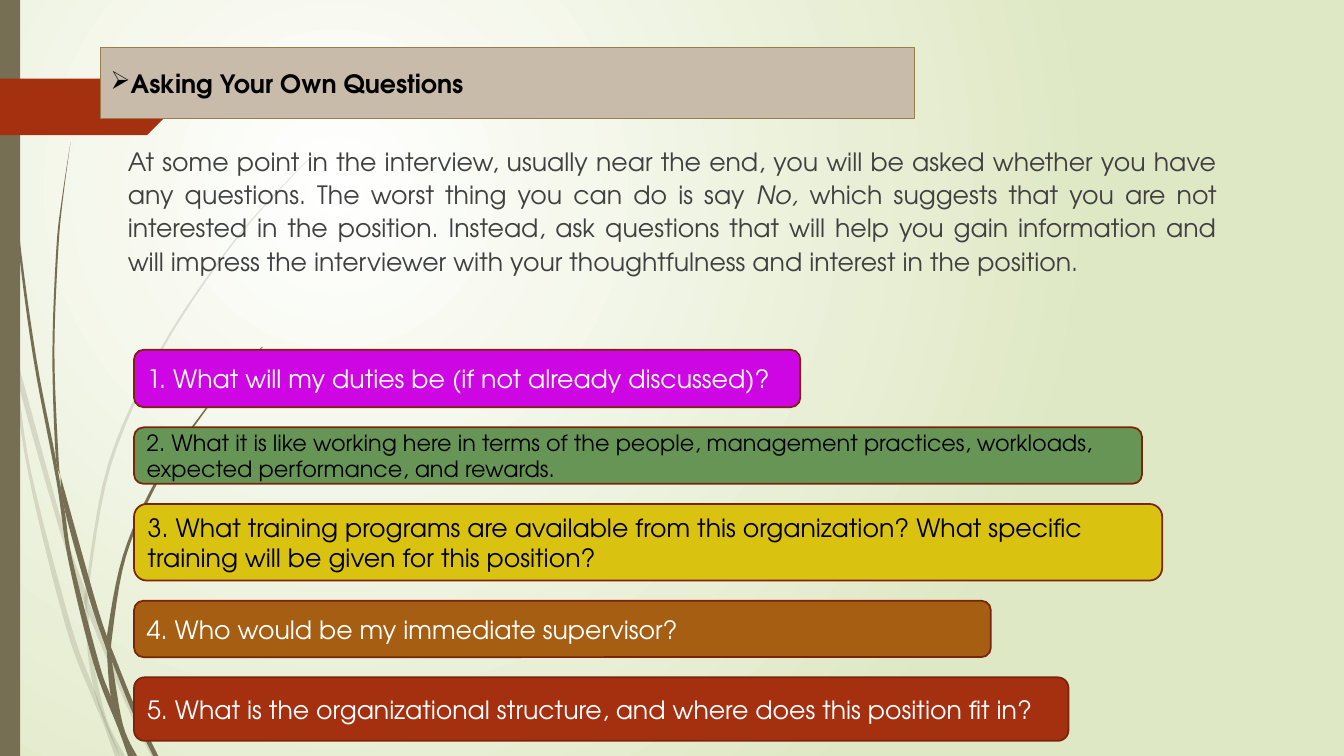
import pptx
import pptx.util
import pptx.dml.color
import pptx.enum.shapes
import pptx.enum.text
import pptx.oxml
import pptx.oxml.ns
from lxml import etree

CELL = pptx.util.Inches(0.1)
COLUMNS, ROWS = 133.33, 75
FONT = "TeX Gyre Adventor"
SHAPES = pptx.enum.shapes.MSO_SHAPE
ANCHORS = pptx.enum.text.MSO_ANCHOR
ALIGNS = pptx.enum.text.PP_ALIGN
COLORS = {
    "white": "FFFFFF", "black": "000000", "body": "404040", "mist": "DFE8C4",
    "stem": "766F54", "red": "A53010", "sand": "C8BBAA", "sand edge": "987D4D",
    "violet": "CF06E4", "green": "679555", "yellow": "DAC210", "brown": "A65E12",
    "edge": "7A240C",
}

FADED_STRANDS = [
    ([(0, 28.2), (0.9, 32.2), (1.1, 35), (2.8, 47), (6.5, 62.1), (9.2, 69.3), (10.1, 71.4), (11.4, 75)],
     [(11.9, 75), (9.3, 68.3), (7, 61.9), (3.1, 46.9), (1.7, 37.6), (1, 34.4), (0, 29.9)]),
    ([(1.4, 34.5), (1.7, 37.6), (5.8, 52.2), (8.4, 59.9), (8.8, 61), (12.3, 69.4), (15, 75)],
     [(15.5, 75), (12.7, 69.2), (9.2, 60.7), (8.5, 58.6), (6.2, 52), (1.4, 34.5)]),
    ([(8.4, 59.9), (8.7, 64.6), (9.3, 68.3), (10.5, 72), (11.9, 75)],
     [(12.4, 75), (10.5, 71.1), (9.1, 64.6), (8.8, 61)]),
    ([(31.2, 15.3), (28.9, 17.5), (22.8, 24.4), (15.8, 34.8), (10.7, 46.1), (8.5, 58.4), (8.4, 59.9)],
     [(8.8, 61), (8.8, 58.4), (11, 46.2), (16, 34.9), (22.9, 24.5), (29, 17.5), (31.2, 15.4)]),
]
STRONG_STRANDS = [
    ([(0.3, 0), (0.4, 4.8), (0.7, 11), (1.7, 23.3), (3.3, 35.5), (5.6, 47.7), (6.8, 55.7), (9.3, 65.9), (11.7, 72.2), (12.7, 75)],
     [(13.3, 75), (11, 69.1), (9.8, 65.7), (7.2, 55.6), (6.4, 50.5), (5.5, 45.3), (3.6, 35.5), (1.9, 23.2), (0.8, 10.9), (0.4, 0)]),
    ([(6, 47.2), (6.4, 50.5), (8.8, 59.2), (10.6, 64.5), (11.1, 65.6), (13.2, 70.8), (15.2, 75)],
     [(15.7, 75), (13.6, 70.6), (11.3, 64.9), (10.6, 63.1), (9.3, 59), (6, 47.2)]),
    ([(7, 14.1), (6.2, 19.3), (5.6, 24.5), (5.2, 34.9), (5.5, 44.9), (6, 47.2)],
     [(6, 47.2), (5.8, 45.3), (5.4, 34.9), (5.8, 24.5), (6.3, 19.3), (7, 14.1)]),
    ([(10.6, 64.5), (11, 69.1), (12.2, 72.5), (13.3, 75)],
     [(13.6, 75), (12.2, 71.9), (11.1, 65.6), (10.6, 63.1)]),
    ([(26, 34.4), (23.1, 37.3), (20.4, 40.5), (15.6, 47.4), (12.2, 55.1), (10.6, 63.1), (10.6, 64.5)],
     [(11.1, 65.6), (11.1, 63.3), (12.5, 55.2), (15.8, 47.6), (20.5, 40.6), (23.1, 37.4), (26.1, 34.4)]),
]
QUESTIONS = [
    ("1. What will my duties be (if not already discussed)?", 66.1, 5.7, "violet", "white", 18),
    ("2. What it is like working here in terms of the people, management practices, "
     "workloads, expected performance, and rewards.", 100, 5.6, "green", "black", 16),
    ("3. What training programs are available from this organization? "
     "What specific training will be given for this position?", 102, 7.6, "yellow", "black", 18),
    ("4. Who would be my immediate supervisor?", 85, 5.6, "brown", "white", 18),
    ("5. What is the organizational structure, and where does this position fit in?",
     92.7, 6.3, "red", "white", 18),
]


def rgb(name):
    return pptx.dml.color.RGBColor.from_string(COLORS[name])


def cells(*lengths):
    return [round(length * CELL) for length in lengths]


def add_text(paragraph, text, size=18, color="black", bold=False, italic=False):
    run = paragraph.add_run()
    run.text = text
    run.font.name = FONT
    run.font.size = pptx.util.Pt(size)
    run.font.color.rgb = rgb(color)
    run.font.bold = bold
    run.font.italic = italic


def paint(shape, fill, line=None, width=1):
    shape.shadow.inherit = False
    shape.fill.solid()
    shape.fill.fore_color.rgb = rgb(fill)
    if line:
        shape.line.color.rgb = rgb(line)
        shape.line.width = pptx.util.Pt(width)
    else:
        shape.line.fill.background()


def add_panel(slide, box, kind, fill, line=None, width=1):
    shape = slide.shapes.add_shape(kind, *cells(*box))
    paint(shape, fill, line, width)
    shape.text_frame.word_wrap = True
    shape.text_frame.vertical_anchor = ANCHORS.MIDDLE
    shape.text_frame.paragraphs[0].alignment = ALIGNS.LEFT
    return shape


def smooth_edge(points, steps=6):
    padded = [points[0], *points, points[-1]]
    curve = []
    for a, b, c, d in zip(padded, padded[1:], padded[2:], padded[3:]):
        for step in range(steps):
            t = step / steps
            curve.append(tuple(
                q + t / 2 * (r - p + t * (2 * p - 5 * q + 4 * r - s + t * (3 * (q - r) + s - p)))
                for p, q, r, s in zip(a, b, c, d)))
    return curve + [points[-1]]


def draw_background(slide):
    fill = slide.background.fill
    fill.gradient()
    for stop, color in zip(fill.gradient_stops, ("white", "mist")):
        stop.color.rgb = rgb(color)
    gradient = slide.background._cSld.find(".//" + pptx.oxml.ns.qn("a:gradFill"))
    gradient.remove(gradient.find(pptx.oxml.ns.qn("a:lin")))
    circle = etree.SubElement(gradient, pptx.oxml.ns.qn("a:path"), path="circle")
    etree.SubElement(circle, pptx.oxml.ns.qn("a:fillToRect"),
                     l="50000", t="50000", r="100000", b="100000")


def draw_strands(slide, box, strands, opacity=100):
    left, top = box[:2]
    for down, up in strands:
        outline = [cells(left + x, top + y) for x, y in smooth_edge(down) + smooth_edge(up)]
        builder = slide.shapes.build_freeform(*outline[0])
        builder.add_line_segments(outline[1:], close=True)
        shape = builder.convert_to_shape()
        paint(shape, "stem")
        if opacity < 100:
            color = shape.fill._xPr.find(".//" + pptx.oxml.ns.qn("a:srgbClr"))
            etree.SubElement(color, pptx.oxml.ns.qn("a:alpha"), val=str(opacity * 1000))


def draw_side_decoration(slide, box):
    left, top, width, height = box
    draw_strands(slide, box, FADED_STRANDS, opacity=20)
    draw_strands(slide, box, STRONG_STRANDS)
    add_panel(slide, (left, top, 2, height), SHAPES.RECTANGLE, "stem")
    add_panel(slide, (left, top + 7.8, 17.4, 5.6), SHAPES.PENTAGON, "red")


def draw_heading(slide, box):
    shape = add_panel(slide, box, SHAPES.RECTANGLE, "sand", "sand edge", 0.75)
    paragraph = shape.text_frame.paragraphs[0]
    bullet = etree.SubElement(paragraph._p.get_or_add_pPr(), pptx.oxml.ns.qn("a:buChar"))
    bullet.set("char", "➢")
    add_text(paragraph, "Asking Your Own Questions", bold=True)


def draw_introduction(slide, box):
    frame = slide.shapes.add_textbox(*cells(*box)).text_frame
    frame.word_wrap = True
    paragraph = frame.paragraphs[0]
    paragraph.alignment = ALIGNS.JUSTIFY
    paragraph.line_spacing = 1.1
    paragraph.space_before = pptx.util.Pt(10)
    add_text(paragraph, "At some point in the interview, usually near the end, you will be asked "
             "whether you have any questions. The worst thing you can do is say ", color="body")
    add_text(paragraph, "No, ", color="body", italic=True)
    add_text(paragraph, "which suggests that you are not interested in the position. Instead, ask "
             "questions that will help you gain information and will impress the interviewer with "
             "your thoughtfulness and interest in the position.", color="body")


def draw_questions(slide, box, gap=2):
    left, top = box[:2]
    for text, width, height, fill, color, size in QUESTIONS:
        shape = add_panel(slide, (left, top, width, height), SHAPES.ROUNDED_RECTANGLE,
                          fill, "edge", 1.25)
        add_text(shape.text_frame.paragraphs[0], text, size=size, color=color)
        top += height + gap


def main():
    presentation = pptx.Presentation()
    presentation.slide_width, presentation.slide_height = cells(COLUMNS, ROWS)
    slide = presentation.slides.add_slide(presentation.slide_layouts[6])
    draw_background(slide)
    draw_side_decoration(slide, (0, 0, COLUMNS, ROWS))
    draw_introduction(slide, (11.7, 13.7, 110, 61.3))
    draw_heading(slide, (10, 4.7, 80.7, 7.1))
    draw_questions(slide, (13.3, 34.7, 102, 38.8))
    presentation.save("out.pptx")


if __name__ == "__main__":
    main()
